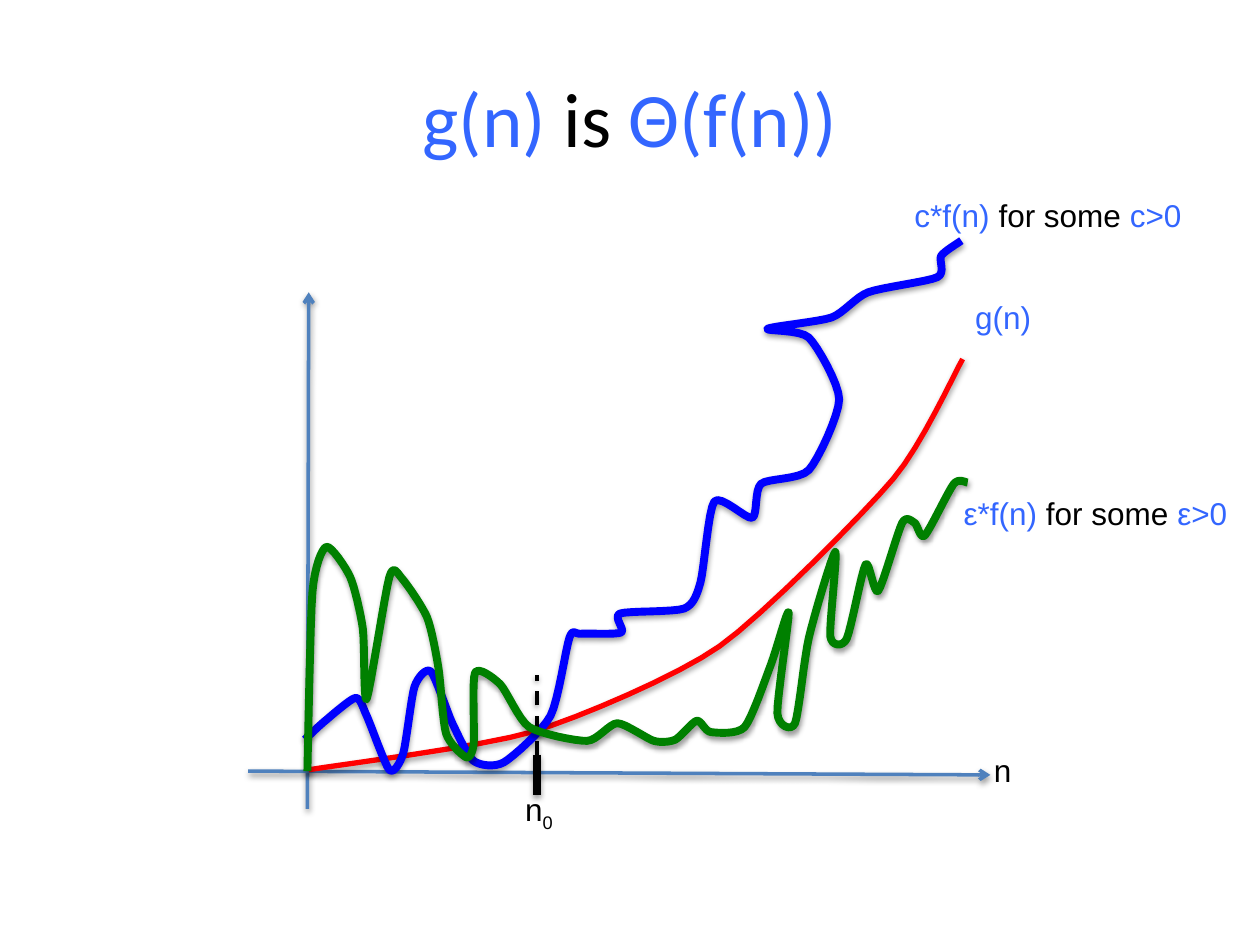
from lxml import etree
from pptx import Presentation
from pptx import util as u
from pptx.dml.color import RGBColor
from pptx.enum import dml, shapes, text
from pptx.oxml import ns

BLACK, ACCENT, AXIS = "000000", "3366FF", "4F81BD"
CURVE_STEPS = 8
TENSION = 0.35

G_CURVE = [(2.45, 6.11), (4.22, 5.81), (5.71, 5.13), (7.09, 3.8), (7.64, 2.85)]
UPPER_CURVE = [
    (2.42, 5.87), (2.57, 5.73), (2.82, 5.54), (2.91, 5.68), (3.09, 6.11),
    (3.2, 5.98), (3.29, 5.45), (3.42, 5.33), (3.59, 5.74), (3.76, 6.04),
    (4, 6.05), (4.37, 5.68), (4.52, 5.06), (4.61, 5.03), (4.93, 5.02),
    (4.92, 4.87), (5.43, 4.83), (5.56, 4.62), (5.67, 3.98), (5.97, 4.11),
    (6.04, 3.84), (6.42, 3.73), (6.66, 3.17), (6.42, 2.68), (6.09, 2.61),
    (6.6, 2.52), (6.89, 2.32), (7.44, 2.2), (7.47, 2.03), (7.63, 1.91),
]
LOWER_CURVE = [
    (2.44, 6.12), (2.48, 4.7), (2.59, 4.34), (2.78, 4.58), (2.88, 4.99),
    (2.91, 5.55), (3.09, 4.58), (3.19, 4.59), (3.39, 4.9), (3.48, 5.3),
    (3.54, 5.82), (3.7, 6.01), (3.76, 5.9), (3.77, 5.34), (3.97, 5.43),
    (4.2, 5.77), (4.66, 5.88), (4.9, 5.74), (5.19, 5.88), (5.36, 5.87),
    (5.53, 5.72), (5.64, 5.81), (5.91, 5.77), (6.12, 5.27), (6.26, 4.86),
    (6.17, 5.66), (6.31, 5.74), (6.42, 5.06), (6.63, 4.38), (6.59, 5.05),
    (6.72, 5.07), (6.87, 4.48), (6.97, 4.69), (7.16, 4.15), (7.26, 4.15),
    (7.34, 4.25), (7.57, 3.84), (7.68, 3.83),
]


def color(value):
    return RGBColor.from_string(value)


def smooth(knots):
    """Return points of a cardinal spline that passes through the knots."""
    padded = [knots[0], *knots, knots[-1]]
    points = [knots[0]]
    for before, start, end, after in zip(padded, padded[1:], padded[2:], padded[3:]):
        for index in range(1, CURVE_STEPS + 1):
            t = index / CURVE_STEPS
            blend = t * t * (3 - 2 * t)
            leave, arrive = t * (1 - t) ** 2, t * t * (1 - t)
            points.append(tuple(
                a + blend * (b - a) + TENSION * (leave * (b - p) - arrive * (n - a))
                for p, a, b, n in zip(before, start, end, after)))
    return points


def style_line(shape, stroke, width):
    """Set the stroke and the soft shadow straight below it."""
    shape.line.color.rgb = color(stroke)
    shape.line.width = u.Pt(width)
    effects = etree.SubElement(shape._element.spPr, ns.qn("a:effectLst"))
    shadow = etree.SubElement(effects, ns.qn("a:outerShdw"), blurRad=str(u.Pt(3.1)),
                              dist=str(u.Pt(1.6)), dir="5400000", rotWithShape="0")
    black = etree.SubElement(shadow, ns.qn("a:srgbClr"), val=BLACK)
    etree.SubElement(black, ns.qn("a:alpha"), val="38000")


def add_line(slide, start, end, stroke, width, dash=None, arrow=False):
    ends = [u.Inches(value) for value in (*start, *end)]
    line = slide.shapes.add_connector(shapes.MSO_CONNECTOR.STRAIGHT, *ends)
    style_line(line, stroke, width)
    if dash:
        line.line.dash_style = dash
    if arrow:
        etree.SubElement(line.line._get_or_add_ln(), ns.qn("a:tailEnd"), type="arrow")


def add_curve(slide, knots, stroke, width):
    points = [(u.Inches(x), u.Inches(y)) for x, y in smooth(knots)]
    builder = slide.shapes.build_freeform(*points[0])
    builder.add_line_segments(points[1:], close=False)
    curve = builder.convert_to_shape()
    curve.fill.background()
    style_line(curve, stroke, width)


def add_runs(paragraph, runs, font_name, size):
    for content, fill, *baseline in runs:
        run = paragraph.add_run()
        run.text = content
        for name, value in {"name": font_name, "size": u.Pt(size)}.items():
            setattr(run.font, name, value)
        run.font.color.rgb = color(fill)
        if baseline:
            run._r.get_or_add_rPr().set("baseline", str(baseline[0] * 1000))


def add_label(slide, left, top, width, runs):
    box = slide.shapes.add_textbox(*map(u.Inches, (left, top, width, 0.4)))
    frame = box.text_frame
    for name, value in {"word_wrap": False,
                        "auto_size": text.MSO_AUTO_SIZE.SHAPE_TO_FIT_TEXT}.items():
        setattr(frame, name, value)
    add_runs(frame.paragraphs[0], runs, "Arial", 18)


def add_title(slide, runs):
    title = slide.shapes.title
    box = {"left": 0.5, "top": 0.3, "width": 9, "height": 1.25}
    for name, value in box.items():
        setattr(title, name, u.Inches(value))
    title.text_frame.vertical_anchor = text.MSO_ANCHOR.MIDDLE
    paragraph = title.text_frame.paragraphs[0]
    paragraph.alignment = text.PP_ALIGN.CENTER
    add_runs(paragraph, runs, "Calibri", 44)


def bound_runs(constant):
    return [(f"{constant}*f(n) ", ACCENT), ("for some ", BLACK), (f"{constant}>0", ACCENT)]


def main():
    presentation = Presentation()
    presentation.slide_width, presentation.slide_height = u.Inches(10), u.Inches(7.5)
    slide = presentation.slides.add_slide(presentation.slide_layouts[5])
    add_title(slide, [("g(n) ", ACCENT), ("is ", BLACK), ("Θ(f(n))", ACCENT)])
    add_line(slide, (2.44, 6.42), (2.45, 2.32), AXIS, 2, arrow=True)
    add_line(slide, (1.97, 6.12), (7.86, 6.15), AXIS, 2, arrow=True)
    add_curve(slide, G_CURVE, "FF0000", 3)
    add_label(slide, 7.64, 2.32, 0.65, [("g(n)", ACCENT)])
    add_label(slide, 4.07, 6.22, 0.44, [("n", BLACK), ("0", BLACK, -25)])
    add_line(slide, (4.26, 5.99), (4.26, 6.31), BLACK, 4.5)
    add_curve(slide, UPPER_CURVE, "0000FF", 4.5)
    add_label(slide, 7.16, 1.51, 2.34, bound_runs("c"))
    add_label(slide, 7.79, 5.91, 0.34, [("n", BLACK)])
    add_line(slide, (4.26, 5.99), (4.26, 5.36), BLACK, 2, dash=dml.MSO_LINE.DASH)
    add_label(slide, 7.55, 3.87, 2.34, bound_runs("ε"))
    add_curve(slide, LOWER_CURVE, "008000", 4.5)
    presentation.save("out.pptx")


if __name__ == "__main__":
    main()
